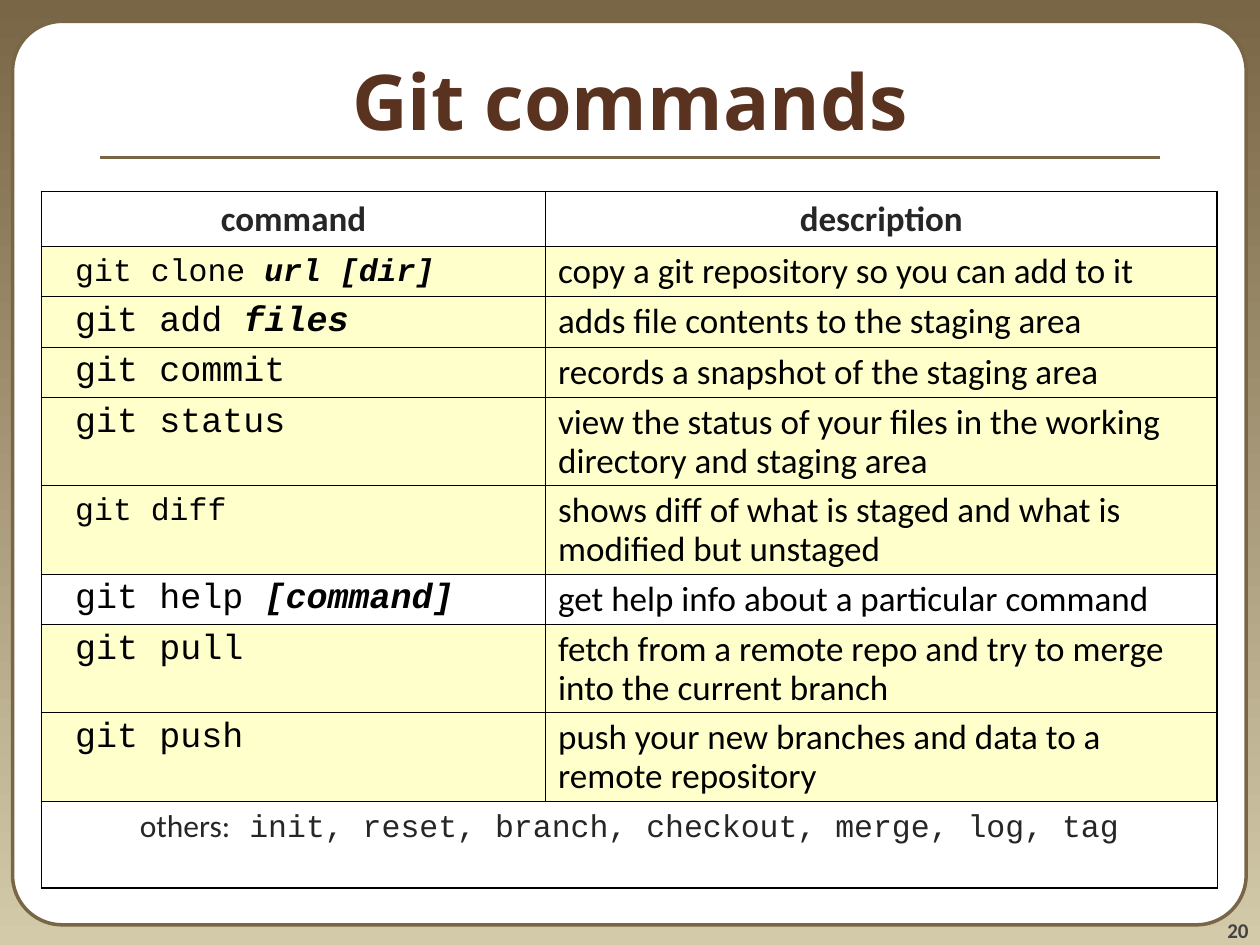
from lxml import etree
from pptx import Presentation
from pptx import util as u
from pptx.dml.color import RGBColor
from pptx.enum import shapes, text
from pptx.oxml import parse_xml
from pptx.oxml.ns import nsdecls, qn

BROWN, YELLOW, BLACK, DARK = "796646", "FFFFCC", "000000", "262626"
SANS, MONO = "Calibri", "Courier New"
OUTER, INNER = 1.08, 0.45
LEFT, CENTER = text.PP_ALIGN.LEFT, text.PP_ALIGN.CENTER
COLS = [4, 5.33]
ROWS = [0.43, 0.4, 0.4, 0.4, 0.7, 0.7, 0.4, 0.7, 0.7, 0.69]

# command, argument, command size, row fill, description
COMMANDS = [
    ("git clone ", "url [dir]", 18, YELLOW, "copy a git repository so you can add to it"),
    ("git add ", "files", 20, YELLOW, "adds file contents to the staging area"),
    ("git commit", "", 20, YELLOW, "records a snapshot of the staging area"),
    ("git status", "", 20, YELLOW,
     "view the status of your files in the working directory and staging area"),
    ("git diff", "", 18, YELLOW,
     "shows diff of what is staged and what is modified but unstaged"),
    ("git help ", "[command]", 20, None, "get help info about a particular command"),
    ("git pull", "", 20, YELLOW,
     "fetch from a remote repo and try to merge into the current branch"),
    ("git push", "", 20, YELLOW, "push your new branches and data to a remote repository"),
]


def color(value):
    return RGBColor.from_string(value)


def add_run(p, words, size, font, fill, bold=False, italic=False):
    r = p.add_run()
    r.text = words
    f = r.font
    f.size, f.name, f.bold, f.italic = u.Pt(size), font, bold, italic
    f.color.rgb = color(fill)


def format_paragraph(p, align, before=5, spacing=1.0):
    p.alignment, p.space_before, p.line_spacing = align, u.Pt(before), spacing
    return p


def set_background(s):
    fill = s.background.fill
    fill.gradient()
    fill.gradient_angle = 270
    for stop, value in zip(fill.gradient_stops, (BROWN, "D3CAAA")):
        stop.color.rgb = color(value)


def add_panel(s):
    sp = s.shapes.add_shape(shapes.MSO_SHAPE.ROUNDED_RECTANGLE, u.Inches(0.1),
                            u.Inches(0.17), u.Inches(9.79), u.Inches(7.17))
    sp.adjustments[0] = 0.055
    sp.shadow.inherit = False
    sp.fill.solid()
    sp.fill.fore_color.rgb = color("FFFFFF")
    sp.line.color.rgb = color(BROWN)
    sp.line.width = u.Pt(2)
    s.shapes.title.element.addprevious(sp.element)


def add_rule(s):
    line = s.shapes.add_connector(shapes.MSO_CONNECTOR.STRAIGHT, u.Inches(0.79),
                                  u.Inches(1.25), u.Inches(9.21), u.Inches(1.25))
    line.line.color.rgb = color(BROWN)
    line.line.width = u.Pt(2.25)
    etree.SubElement(line.element.spPr, qn("a:effectLst"))
    s.shapes.title.element.addprevious(line.element)


def add_title(s, words):
    title = s.shapes.title
    title.left, title.top = u.Inches(0), u.Inches(0.17)
    title.width, title.height = u.Inches(10), u.Inches(1.25)
    tf = title.text_frame
    tf.vertical_anchor = text.MSO_ANCHOR.MIDDLE
    p = format_paragraph(tf.paragraphs[0], CENTER, before=0)
    add_run(p, words, 44, "Noto Sans", "5A3320", bold=True)


def add_slide_number(s, number):
    box = s.shapes.add_textbox(u.Inches(9.08), u.Inches(7.08), u.Inches(0.83), u.Inches(0.4))
    tf = box.text_frame
    tf.word_wrap = True
    tf.vertical_anchor = text.MSO_ANCHOR.BOTTOM
    tf.margin_left = tf.margin_right = tf.margin_top = tf.margin_bottom = 0
    p = format_paragraph(tf.paragraphs[0], text.PP_ALIGN.RIGHT)
    add_run(p, number, 12, SANS, "424242", bold=True)


def set_borders(cell, **widths):
    tcPr = cell._tc.get_or_add_tcPr()
    for side in "LRTB":
        tcPr.append(parse_xml(
            f'<a:ln{side} {nsdecls("a")} w="{u.Pt(widths[side])}"><a:solidFill>'
            f'<a:srgbClr val="{BLACK}"/></a:solidFill></a:ln{side}>'))


def format_cell(cell, fill):
    cell.margin_left = cell.margin_right = u.Inches(0.1)
    cell.margin_top = cell.margin_bottom = u.Inches(0.05)
    if fill:
        cell.fill.solid()
        cell.fill.fore_color.rgb = color(fill)
    else:
        cell.fill.background()


def add_grid(s):
    """Add the table with its sizes, borders and fills, but no text."""
    table = s.shapes.add_table(len(ROWS), len(COLS), u.Inches(0.33), u.Inches(1.52),
                               u.Inches(sum(COLS)), u.Inches(sum(ROWS))).table
    table.first_row = table.horz_banding = False
    for column, width in zip(table.columns, COLS):
        column.width = u.Inches(width)
    fills = [None] + [command[3] for command in COMMANDS] + [None]
    for i, (height, fill) in enumerate(zip(ROWS, fills)):
        table.rows[i].height = u.Inches(height)
        for j in range(len(COLS)):
            cell = table.cell(i, j)
            set_borders(cell,
                        L=OUTER if j == 0 else INNER,
                        R=OUTER if j == len(COLS) - 1 else INNER,
                        T=OUTER if i == 0 else INNER,
                        B=OUTER if i == len(ROWS) - 1 else INNER)
            format_cell(cell, fill)
    last = len(ROWS) - 1
    table.cell(last, 0).merge(table.cell(last, 1))
    return table


def fill_table(table):
    for j, heading in enumerate(("command", "description")):
        p = format_paragraph(table.cell(0, j).text_frame.paragraphs[0], CENTER)
        add_run(p, heading, 20, SANS, DARK, bold=True)

    for i, (command, argument, size, _, description) in enumerate(COMMANDS, start=1):
        p = format_paragraph(table.cell(i, 0).text_frame.paragraphs[0], LEFT, size / 4, 0.9)
        add_run(p, " ", 20, MONO, BLACK)
        add_run(p, command, size, MONO, BLACK)
        if argument:
            add_run(p, argument, size, MONO, BLACK, bold=True, italic=True)
        p = format_paragraph(table.cell(i, 1).text_frame.paragraphs[0], LEFT, 5, 0.9)
        add_run(p, description, 20, SANS, BLACK)

    p = format_paragraph(table.cell(len(ROWS) - 1, 0).text_frame.paragraphs[0], CENTER, 4.5)
    add_run(p, "others:", 18, SANS, DARK)
    add_run(p, " init, reset, branch, checkout, merge, log, tag", 18, MONO, DARK)


def main():
    prs = Presentation()
    prs.slide_width, prs.slide_height = u.Inches(10), u.Inches(7.5)
    s = prs.slides.add_slide(prs.slide_layouts[5])
    set_background(s)
    add_panel(s)
    add_slide_number(s, "20")
    add_rule(s)
    add_title(s, "Git commands")
    fill_table(add_grid(s))
    prs.save("out.pptx")


if __name__ == "__main__":
    main()
